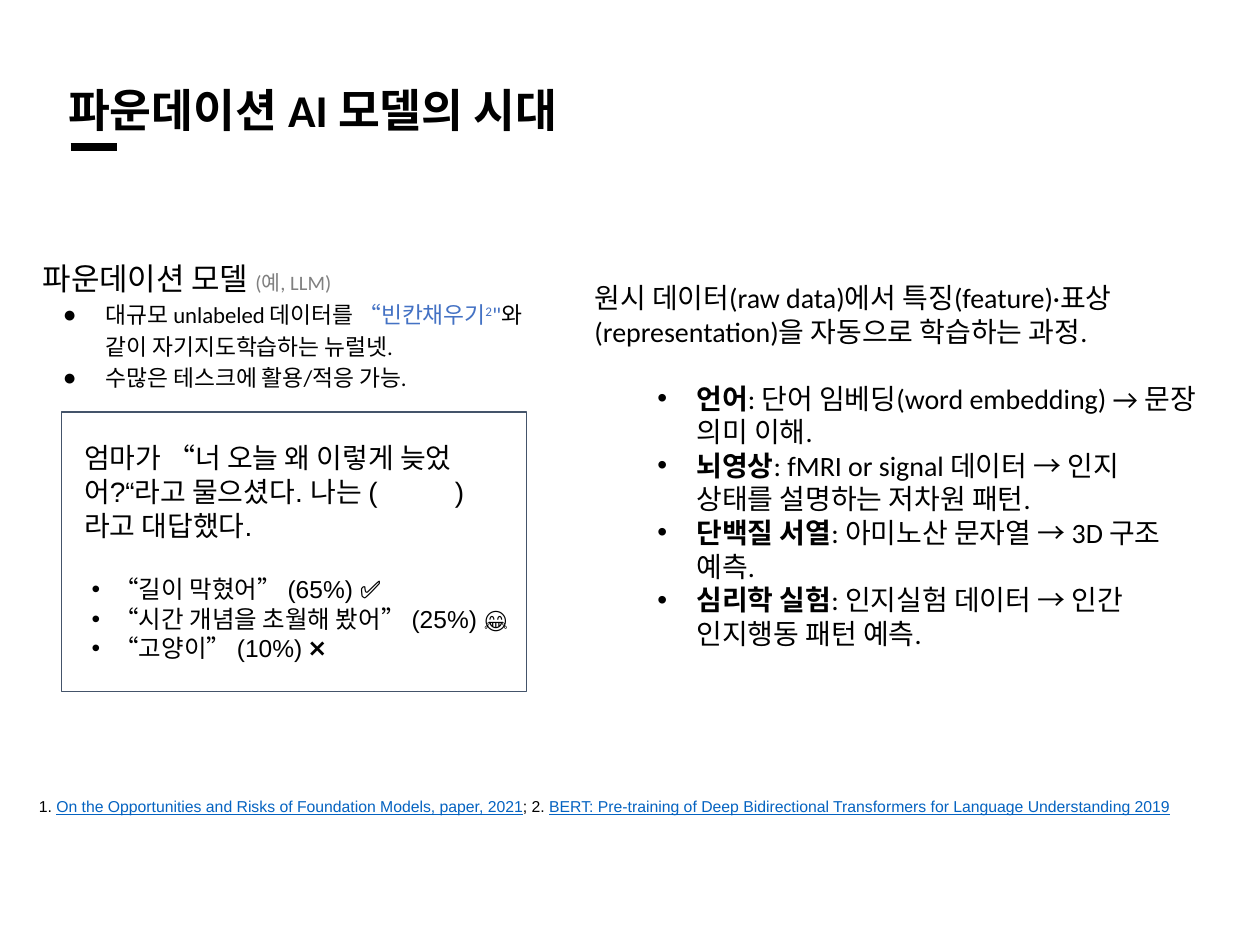
from lxml.etree import SubElement
from pptx import Presentation
from pptx.dml.color import RGBColor
from pptx.enum.shapes import MSO_CONNECTOR, MSO_SHAPE
from pptx.enum.text import MSO_ANCHOR, MSO_AUTO_SIZE, PP_ALIGN
from pptx.oxml.ns import qn
from pptx.util import Inches, Pt

BLACK = RGBColor(0x00, 0x00, 0x00)
GRAY = RGBColor(0x80, 0x80, 0x80)
BLUE = RGBColor(0x44, 0x72, 0xC4)
LINK = RGBColor(0x05, 0x63, 0xC1)
SLATE = RGBColor(0x44, 0x54, 0x6A)
ANSWER_BLANK = (" " + chr(160)) * 5  # space to fill in, with no-break spaces


def add_span(para, text, *, font, size, color=BLACK, bold=False,
             underline=False, baseline=None):
    """Append one formatted run to a paragraph."""
    span = para.add_run()
    span.text = text
    span.font.name = font
    span.font.size = Pt(size)
    span.font.color.rgb = color
    span.font.bold = bold
    span.font.underline = underline
    if baseline:
        span.font._element.set("baseline", str(baseline * 1000))


class SlideBuilder:
    """Holds the default font and the current page."""

    def __init__(self, page, font="Calibri"):
        self.page = page
        self.font = font

    def frame(self, box, margins, anchor=MSO_ANCHOR.TOP):
        frame = box.text_frame
        frame.word_wrap = True
        frame.auto_size = MSO_AUTO_SIZE.NONE
        frame.vertical_anchor = anchor
        side, edge = margins
        frame.margin_left = frame.margin_right = Inches(side)
        frame.margin_top = frame.margin_bottom = Inches(edge)
        return frame

    def paragraphs(self, frame, paras, font, size, spacing):
        """Each paragraph is (spans, options); a span is (text, format)."""
        for index, (spans, options) in enumerate(paras):
            para = frame.add_paragraph() if index else frame.paragraphs[0]
            para.alignment = PP_ALIGN.LEFT
            para.line_spacing = spacing
            para.space_before = Pt(options.get("before", 0))
            props = para._p.get_or_add_pPr()
            left, hang = options.get("indent", (0, 0))
            props.set("marL", str(Inches(left)))
            props.set("indent", str(Inches(hang)))
            if "bullet" in options:
                SubElement(props, qn("a:buFont"), typeface="Arial")
                SubElement(props, qn("a:buChar"), char=options["bullet"])
            for text, style in spans:
                add_span(para, text, **{"font": font or self.font, "size": size, **style})

    def title(self, text, left, top, width, height, size):
        box = self.page.shapes.title
        box.left, box.top = Inches(left), Inches(top)
        box.width, box.height = Inches(width), Inches(height)
        frame = self.frame(box, (0.07, 0.04), MSO_ANCHOR.MIDDLE)
        self.paragraphs(frame, [([(text, {"bold": True})], {})], None, size, 0.9)

    def text(self, paras, left, top, width, height, size, font=None,
             margins=(0.1, 0.1), spacing=1.0, anchor=MSO_ANCHOR.TOP):
        box = self.page.shapes.add_textbox(
            Inches(left), Inches(top), Inches(width), Inches(height))
        self.paragraphs(self.frame(box, margins, anchor), paras, font, size, spacing)

    def rule(self, left, right, top, weight):
        line = self.page.shapes.add_connector(
            MSO_CONNECTOR.STRAIGHT, Inches(left), Inches(top), Inches(right), Inches(top))
        line.line.color.rgb = BLACK
        line.line.width = Pt(weight)
        SubElement(line._element.spPr, qn("a:effectLst"))

    def outline(self, left, top, width, height):
        box = self.page.shapes.add_shape(
            MSO_SHAPE.RECTANGLE, Inches(left), Inches(top), Inches(width), Inches(height))
        box.shadow.inherit = False
        box.fill.background()
        box.line.color.rgb = SLATE
        box.line.width = Pt(0.75)


def main():
    deck = Presentation()
    deck.slide_width, deck.slide_height = Inches(10), Inches(7.5)
    builder = SlideBuilder(deck.slides.add_slide(deck.slide_layouts[5]))

    # Title and accent bar
    builder.title("파운데이션 AI 모델의 시대", 0.47, 0.35, 5.74, 1.09, size=26)
    builder.rule(0.56, 0.93, 1.17, weight=4.5)

    # Foundation model definition
    dot = {"indent": (0.5, -0.34), "bullet": "●"}
    blue = {"color": BLUE}
    builder.text([
        ([("파운데이션 모델 ", {"size": 17.7}),
          ("(예, LLM)", {"size": 11.7, "color": GRAY})], {}),
        ([("대규모 unlabeled 데이터를 ", {}), ("“빈칸채우기", blue),
          ("2", {**blue, "baseline": 30}), ('"', blue),
          ("와 같이 자기지도학습하는 뉴럴넷.", {})], dot),
        ([("수많은 테스크에 활용/적응 가능.", {})], dot),
    ], 0.24, 2.1, 4.31, 0.92, size=13, spacing=1.15, anchor=MSO_ANCHOR.MIDDLE)

    # Fill-in-the-blank example
    builder.outline(0.49, 3.27, 3.69, 2.22)
    question = f"엄마가 “너 오늘 왜 이렇게 늦었어?“라고 물으셨다. 나는 ({ANSWER_BLANK})라고 대답했다."
    builder.text([([(question, {})], {})], 0.57, 3.4, 3.53, 1.41, size=16, font="Arial")
    answers = ["“길이 막혔어” (65%) ✅", "“시간 개념을 초월해 봤어” (25%) 😂", "“고양이” (10%) ❌"]
    answer_format = {"indent": (0.25, -0.18), "bullet": "•"}
    builder.text([([(answer, {})], answer_format) for answer in answers],
                 0.56, 4.51, 5, 0.81, size=14, font="Arial", margins=(0.1, 0.05))

    # Representation learning and its fields
    fields = [
        ("언어", "단어 임베딩(word embedding) → 문장 의미 이해."),
        ("뇌영상", "fMRI or signal 데이터 → 인지 상태를 설명하는 저차원 패턴."),
        ("단백질 서열", "아미노산 문자열 → 3D 구조 예측."),
        ("심리학 실험", "인지실험 데이터 → 인간 인지행동 패턴 예측."),
    ]
    intro = "원시 데이터(raw data)에서 특징(feature)·표상(representation)을 자동으로 학습하는 과정."
    paras = [([(intro, {})], {})]
    for index, (name, detail) in enumerate(fields):
        paras.append(([(name, {"bold": True}), (f": {detail}", {})],
                      {"indent": (0.81, -0.31), "bullet": "•",
                       "before": 0 if index else 19}))
    builder.text(paras, 4.62, 2.18, 5, 3.94, size=16, margins=(0.1, 0.05))

    # References
    cited = {"color": LINK, "underline": True}
    builder.text([([
        ("1. ", {}),
        ("On the Opportunities and Risks of Foundation Models, paper, 2021", cited),
        ("; 2. ", {}),
        ("BERT: Pre-training of Deep Bidirectional Transformers for "
         "Language Understanding 2019", cited),
    ], {"indent": (0.21, 0), "before": 6})],
        0, 6.24, 9.53, 1.33, size=9, font="Arial", spacing=0.91)

    deck.save("out.pptx")


if __name__ == "__main__":
    main()
